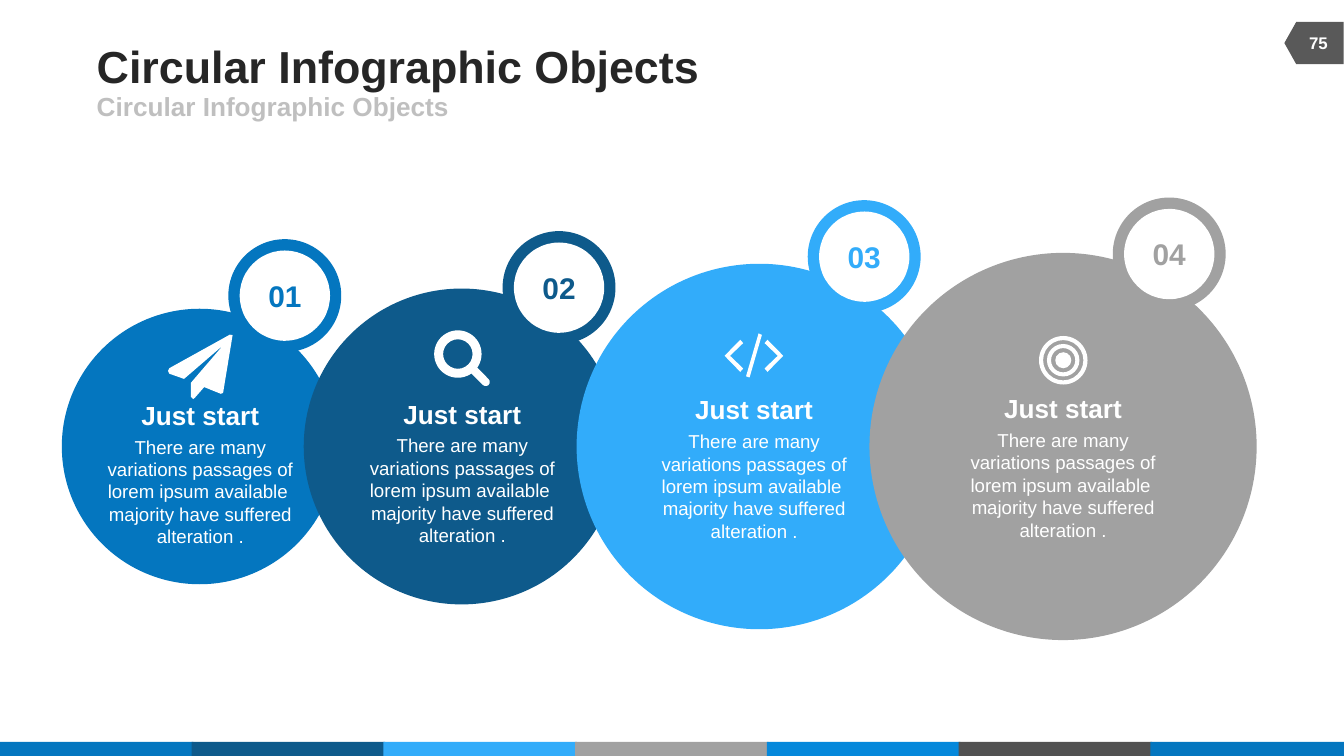
from pptx import Presentation
from pptx.dml.color import RGBColor
from pptx.enum.shapes import MSO_SHAPE
from pptx.enum.text import MSO_ANCHOR, MSO_AUTO_SIZE, PP_ALIGN
from pptx.oxml.ns import qn
from pptx.util import Pt

COLORS = {
    "blue": "0476BF", "navy": "0E5A8B", "sky": "32ACFA", "gray": "A1A1A1",
    "azure": "0588DB", "dark": "525252", "tag": "595959", "white": "FFFFFF",
    "title": "262626", "subtitle": "BFBFBF",
}
FOOTER = ["blue", "navy", "sky", "gray", "azure", "dark", "blue"]
TITLE = "Circular Infographic Objects"
HEADING = "Just start"
BODY = ("There are many variations passages of lorem ipsum available  "
        "majority have suffered alteration .")
CIRCLE_Y = 239.2

# color, circle x, diameter, text x, text top, badge x, badge y
STEPS = [
    ("blue", 106.9, 147.6, 107.3, 233.3, 152.6, 158.4),
    ("navy", 247.3, 169.2, 247.7, 232.6, 299.5, 154.1),
    ("sky", 406.8, 195.8, 404, 230.4, 463, 137.5),
    ("gray", 569.5, 207.4, 569.5, 229.7, 626.4, 136.1),
]
PLANE = [(124.6, 179.5), (119.5, 210.5), (118.3, 211), (109.4, 207.4),
         (104.4, 213.1), (103.5, 213.8), (102.2, 212.6), (102.2, 205.2),
         (119.5, 185), (98.6, 203), (90.7, 200.2), (90, 198.7),
         (90.7, 197.3), (123.1, 179.3)]
CHEVRON = [(396.6, 199.2), (388.2, 190.6), (396.6, 182), (398.2, 183.8),
           (391.1, 190.6), (398.2, 197.4)]
SLASH = [(406.4, 178.6), (408.2, 179.4), (401.6, 202.2), (399.7, 201.6)]


def rgb(name):
    return RGBColor.from_string(COLORS[name])


def paint(sp, color):
    sp.shadow.inherit = False
    sp.fill.solid()
    sp.fill.fore_color.rgb = rgb(color)
    sp.line.fill.background()
    return sp


def write(sp, text, size=10, color="white", bold=False, align=PP_ALIGN.CENTER,
          anchor=MSO_ANCHOR.MIDDLE, wrap=True):
    tf = sp.text_frame
    tf.auto_size = MSO_AUTO_SIZE.NONE
    tf.word_wrap = wrap
    tf.vertical_anchor = anchor
    tf.margin_left = tf.margin_right = tf.margin_top = tf.margin_bottom = 0
    p = tf.paragraphs[0]
    p.alignment = align
    p.space_before = Pt(0)
    r = p.add_run()
    r.text = text
    r.font.name = "Arial"
    r.font.size = Pt(size)
    r.font.bold = bold
    r.font.color.rgb = rgb(color)
    return p


def add_block(s, kind, x, y, w, h, color):
    return paint(s.shapes.add_shape(kind, Pt(x), Pt(y), Pt(w), Pt(h)), color)


def add_round(s, cx, cy, d, color, kind=MSO_SHAPE.OVAL):
    return add_block(s, kind, cx - d / 2, cy - d / 2, d, d, color)


def add_ring(s, cx, cy, d, thickness):
    sp = add_round(s, cx, cy, d, "white", MSO_SHAPE.DONUT)
    sp.adjustments[0] = thickness / d


def add_outline(s, *contours):
    points = [[(Pt(x), Pt(y)) for x, y in contour] for contour in contours]
    builder = s.shapes.build_freeform(*points[0][0])
    for i, contour in enumerate(points):
        if i:
            builder.move_to(*contour[0])
        builder.add_line_segments(contour[1:], close=True)
    paint(builder.convert_to_shape(), "white")


def add_label(s, text, x, y, w, h, **fmt):
    write(s.shapes.add_textbox(Pt(x), Pt(y), Pt(w), Pt(h)), text, **fmt)


def fill_placeholder(sp, text, x, y, w, h, **fmt):
    sp.left, sp.top, sp.width, sp.height = Pt(x), Pt(y), Pt(w), Pt(h)
    return write(sp, text, bold=True, align=PP_ALIGN.LEFT, wrap=False, **fmt)


def add_header(s):
    fill_placeholder(s.shapes.title, TITLE, 51.8, 20.9, 444.2, 28.1,
                     size=24, color="title")
    p = fill_placeholder(s.placeholders[1], TITLE, 51.8, 49, 324, 15.8,
                         size=14, color="subtitle")
    pPr = p._p.get_or_add_pPr()
    pPr.set("marL", "0")
    pPr.set("indent", "0")
    pPr.append(pPr.makeelement(qn("a:buNone"), {}))


def add_frame(s):
    for i, color in enumerate(FOOTER):
        add_block(s, MSO_SHAPE.RECTANGLE, i * 102.72, 397.5, 103.68, 7.5, color)
    tag = add_block(s, MSO_SHAPE.FLOWCHART_OFFPAGE_CONNECTOR,
                    692.6, 7.2, 22.6, 31.7, "tag")
    tag.rotation = 90
    add_label(s, "75", 691.2, 12.2, 30.2, 21.6, size=9, bold=True)


def add_step(s, color, cx, d, text_x, top):
    add_round(s, cx, CIRCLE_Y, d, color)
    add_label(s, BODY, text_x - 51.85, top, 103.7, 60.5, anchor=MSO_ANCHOR.TOP)
    add_label(s, HEADING, text_x - 31.7, top - 19.4, 63.4, 17.3, size=14,
              bold=True, anchor=MSO_ANCHOR.TOP, wrap=False)


def add_badge(s, number, color, cx, cy):
    add_round(s, cx, cy, 60.5, color)
    write(add_round(s, cx, cy, 48.4, "white"), f"{number:02}", size=16,
          color=color, bold=True, wrap=False)


def add_icons(s):
    add_outline(s, PLANE)
    add_outline(s, CHEVRON, SLASH, [(807.8 - x, y) for x, y in CHEVRON])
    add_ring(s, 245.3, 189.7, 25.4, 4.8)
    handle = add_block(s, MSO_SHAPE.ROUNDED_RECTANGLE, 249.8, 199.1, 14, 4.4, "white")
    handle.adjustments[0] = 0.5
    handle.rotation = 45
    add_ring(s, 569.6, 193, 26, 2.2)
    add_ring(s, 569.6, 193, 17.4, 2.2)
    add_round(s, 569.6, 193, 8.6, "white")


def main():
    prs = Presentation()
    prs.slide_width, prs.slide_height = Pt(720), Pt(405)
    s = prs.slides.add_slide(prs.slide_layouts[1])
    add_frame(s)
    add_header(s)
    for color, cx, d, text_x, top, _, _ in STEPS:
        add_step(s, color, cx, d, text_x, top)
    add_icons(s)
    for number, (color, *_, x, y) in enumerate(STEPS, 1):
        add_badge(s, number, color, x, y)
    prs.save("out.pptx")


if __name__ == "__main__":
    main()
